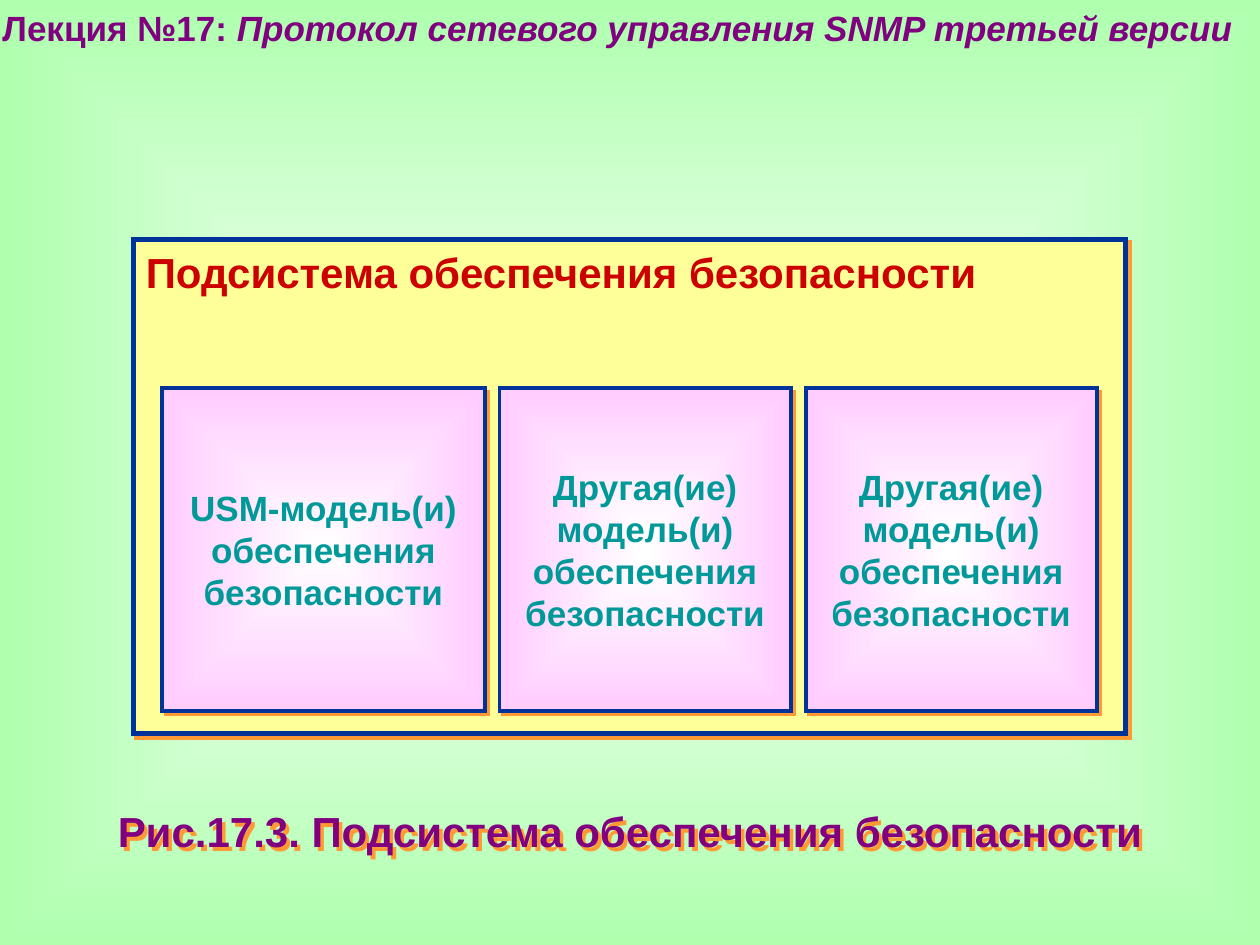
from lxml.etree import SubElement
from pptx import Presentation
from pptx.dml.color import RGBColor
from pptx.enum.shapes import MSO_SHAPE
from pptx.enum.text import MSO_ANCHOR, MSO_AUTO_SIZE, PP_ALIGN
from pptx.oxml import parse_xml
from pptx.oxml.ns import nsdecls, qn
from pptx.util import Cm, Pt

PURPLE, NAVY, ORANGE = "800080", "003399", "FF9933"
RED, TEAL = "CC0000", "009999"
YELLOW, PINK, GREEN = "FFFF99", "FFCCFF", "AFFFAF"
MODELS = [
    ("USM-модель(и) обеспечения безопасности", 6.5),
    ("Другая(ие) модель(и) обеспечения безопасности", 5.87),
    ("Другая(ие) модель(и) обеспечения безопасности", 5.87),
]


def color(code):
    return RGBColor.from_string(code)


def glow_from_center(owner, edge):
    gradient = parse_xml(
        f'<a:gradFill {nsdecls("a")} rotWithShape="1"><a:gsLst>'
        '<a:gs pos="0"><a:srgbClr val="FFFFFF"/></a:gs>'
        f'<a:gs pos="100000"><a:srgbClr val="{edge}"/></a:gs></a:gsLst>'
        '<a:path path="shape"><a:fillToRect l="50000" t="50000" r="50000" b="50000"/>'
        "</a:path></a:gradFill>"
    )
    owner.replace(owner.find(qn("a:solidFill")), gradient)


def cast_shadow(shape):
    shape.shadow.inherit = False
    effects = shape.element.spPr.find(qn("a:effectLst"))
    shadow = SubElement(effects, qn("a:outerShdw"), dist=str(Pt(2.8)),
                        dir="2700000", algn="ctr", rotWithShape="0")
    SubElement(shadow, qn("a:srgbClr"), val=ORANGE)


def write(shape, text, size=20, ink=PURPLE, italic_tail="", align=PP_ALIGN.LEFT,
          anchor=MSO_ANCHOR.TOP, margins=(0.25, 0.13), spacing=None, grow=False):
    frame = shape.text_frame
    frame.word_wrap = True
    frame.vertical_anchor = anchor
    frame.margin_left = frame.margin_right = Cm(margins[0])
    frame.margin_top = frame.margin_bottom = Cm(margins[1])
    if grow:
        frame.auto_size = MSO_AUTO_SIZE.SHAPE_TO_FIT_TEXT
    paragraph = frame.paragraphs[0]
    paragraph.alignment = align
    if spacing:
        paragraph.line_spacing = spacing
    for part, italic in ((text, False), (italic_tail, True)):
        if part:
            run = paragraph.add_run()
            run.text = part
            run.font.name = "Arial"
            run.font.size = Pt(size)
            run.font.bold = True
            run.font.italic = italic
            run.font.color.rgb = color(ink)


def add_panel(shapes, left, top, width, height, fill, line_width):
    panel = shapes.add_shape(MSO_SHAPE.RECTANGLE, Cm(left), Cm(top), Cm(width), Cm(height))
    panel.fill.solid()
    panel.fill.fore_color.rgb = color(fill)
    panel.line.color.rgb = color(NAVY)
    panel.line.width = Pt(line_width)
    SubElement(panel.element.spPr.find(qn("a:ln")), qn("a:miter"), lim="800000")
    cast_shadow(panel)
    return panel


def add_header(slide, left, top, width, height):
    header = slide.shapes.add_textbox(Cm(left), Cm(top), Cm(width), Cm(height))
    write(header, "Лекция №17: ", italic_tail="Протокол сетевого управления SNMP третьей версии",
          anchor=MSO_ANCHOR.MIDDLE, margins=(0.05, 0.13), grow=True)


def add_subsystem(slide, left, top, width, height):
    shapes = slide.shapes.add_group_shape().shapes
    subsystem = add_panel(shapes, left, top, width, height, YELLOW, 3)
    write(subsystem, "Подсистема обеспечения безопасности", size=24, ink=RED)
    gap = 0.3
    model_left = left + 0.58
    for name, model_width in MODELS:
        model = add_panel(shapes, model_left, top + 3, model_width, 6.5, PINK, 2.25)
        glow_from_center(model.element.spPr, PINK)
        write(model, name, ink=TEAL, align=PP_ALIGN.CENTER,
              anchor=MSO_ANCHOR.MIDDLE, margins=(0, 0))
        model_left += model_width + gap


def add_caption(slide, left, top, width, height):
    caption = slide.shapes.add_textbox(Cm(left), Cm(top), Cm(width), Cm(height))
    cast_shadow(caption)
    write(caption, "Рис.17.3. Подсистема обеспечения безопасности", size=24,
          align=PP_ALIGN.CENTER, spacing=0.9, grow=True)


def main():
    deck = Presentation()
    deck.slide_width, deck.slide_height = Cm(25.4), Cm(19.05)
    slide = deck.slides.add_slide(deck.slide_layouts[6])
    slide.background.fill.solid()
    slide.background.fill.fore_color.rgb = color(GREEN)
    glow_from_center(slide.element.find(".//" + qn("p:bgPr")), GREEN)
    add_header(slide, 0, 0, 25.4, 1.09)
    add_subsystem(slide, 2.69, 4.83, 20, 9.96)
    add_caption(slide, 0, 16.23, 25.4, 1.17)
    deck.save("out.pptx")


if __name__ == "__main__":
    main()
